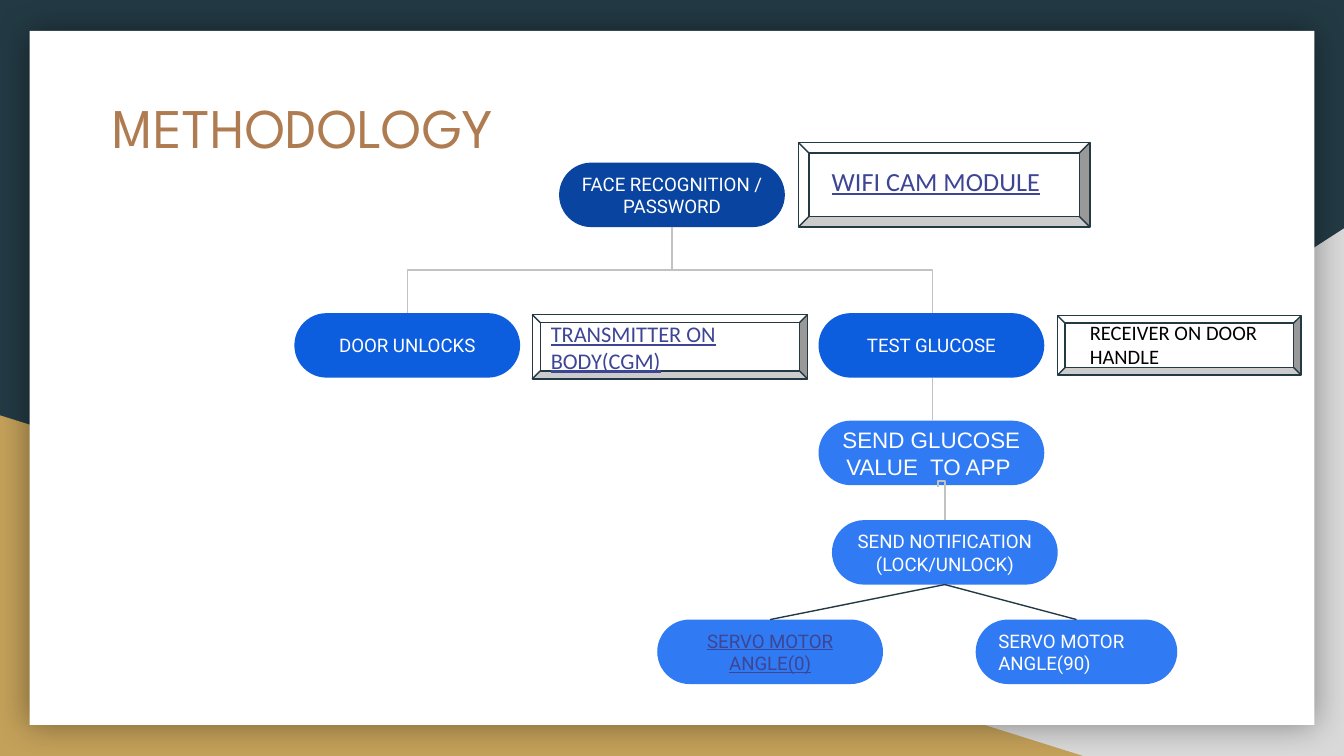
from lxml import etree
from pptx import Presentation
from pptx.dml.color import RGBColor
from pptx.enum.shapes import MSO_CONNECTOR, MSO_SHAPE
from pptx.enum.text import MSO_ANCHOR, PP_ALIGN
from pptx.oxml.ns import qn
from pptx.util import Inches, Pt

ROUND, BEVEL = MSO_SHAPE.ROUNDED_RECTANGLE, MSO_SHAPE.BEVEL
RECT, WEDGE = MSO_SHAPE.RECTANGLE, MSO_SHAPE.RIGHT_TRIANGLE
ELBOW, STRAIGHT = MSO_CONNECTOR.ELBOW, MSO_CONNECTOR.STRAIGHT
TOP, MIDDLE = MSO_ANCHOR.TOP, MSO_ANCHOR.MIDDLE
LEFT, CENTER = PP_ALIGN.LEFT, PP_ALIGN.CENTER

COLORS = {
    "dark": "233A44", "gray": "D9D9D9", "gold": "C4A15A", "white": "FFFFFF",
    "title": "AF7B51", "navy": "0944A1", "blue": "0D5DDF", "sky": "307BF3",
    "wire": "C2C2C2", "link": "3D4594", "black": "000000",
}
WIDE, TALL = 1.68, 0.48  # size of a step


def color(name):
    return RGBColor.from_string(COLORS[name])


def box(dims):
    return [Inches(n) for n in dims]


def write(shape, text, font="Roboto", size=10, ink="white", align=CENTER,
          anchor=MIDDLE, line=False):
    frame = shape.text_frame
    frame.word_wrap = True
    frame.vertical_anchor = anchor
    frame.margin_left = frame.margin_right = Inches(0.1)
    frame.margin_top = frame.margin_bottom = Inches(0.1)
    para = frame.paragraphs[0]
    para.alignment = align
    run = para.add_run()
    run.text = text
    run.font.name = font
    run.font.size = Pt(size)
    run.font.underline = line
    run.font.color.rgb = color(ink)


def draw(slide, kind, dims, fill, edge=None):
    shape = slide.shapes.add_shape(kind, *box(dims))
    shape.shadow.inherit = False
    shape.fill.solid()
    shape.fill.fore_color.rgb = color(fill)
    if edge:
        shape.line.color.rgb = color(edge)
        shape.line.width = Pt(0.75)
    else:
        shape.line.fill.background()
    return shape


def backdrop(slide, wide, tall):
    slide.background.fill.solid()
    slide.background.fill.fore_color.rgb = color("dark")
    right = draw(slide, WEDGE, (3.92, 1.7, wide - 3.92, tall - 1.7), "gray")
    right._element.spPr.xfrm.set("flipH", "1")
    draw(slide, WEDGE, (0, 3.09, 8.06, tall - 3.09), "gold")
    card = draw(slide, RECT, (0.22, 0.23, wide - 0.44, tall - 0.46), "white")
    glow = card._element.spPr.find(qn("a:effectLst"))
    shade = etree.SubElement(glow, qn("a:outerShdw"), blurRad=str(Pt(18)),
                             dist="0", algn="ctr", rotWithShape="0")
    tint = etree.SubElement(shade, qn("a:srgbClr"), val=COLORS["black"])
    etree.SubElement(tint, qn("a:alpha"), val="40000")


def head(slide, text, dims):
    title = slide.shapes.title
    title.left, title.top, title.width, title.height = box(dims)
    write(title, text, font="League Spartan", size=30, ink="title", align=LEFT)
    slide.shapes._spTree.append(title._element)  # in front of the backdrop


def step(slide, text, x, y, fill, wide=WIDE, **style):
    shape = draw(slide, ROUND, (x, y, wide, TALL), fill)
    shape.adjustments[0] = 0.5
    write(shape, text, **style)


def join(slide, kind, start, end, ink):
    wire = slide.shapes.add_connector(kind, *box(start + end))
    wire.line.color.rgb = color(ink)
    wire.line.width = Pt(0.75)
    etree.SubElement(wire._element.spPr, qn("a:effectLst"))
    return wire


def elbow(slide, start, end, bend=0.5):
    """Link two points by a line that leaves and arrives vertically."""
    (x1, y1), (x2, y2) = start, end
    wire = join(slide, ELBOW, start, end, "wire")
    # The preset runs sideways, so its box is turned about its centre.
    long, short = y2 - y1, abs(x2 - x1)
    wire.left, wire.top, wire.width, wire.height = box(
        ((x1 + x2 - long) / 2, (y1 + y2 - short) / 2, long, short))
    form = wire._element.spPr.find(qn("a:xfrm"))
    for name in ("flipH", "flipV"):
        form.attrib.pop(name, None)
    if x2 >= x1:
        form.set("flipH", "1")
    form.set("rot", str((270 if x2 >= x1 else 90) * 60000))
    geom = wire._element.spPr.find(qn("a:prstGeom"))
    guides = geom.find(qn("a:avLst"))
    if guides is None:
        guides = etree.SubElement(geom, qn("a:avLst"))
    etree.SubElement(guides, qn("a:gd"), name="adj1",
                     fmla=f"val {round(bend * 100000)}")


def note(slide, text, frame, area, **style):
    draw(slide, BEVEL, frame, "white", "dark")
    label = slide.shapes.add_textbox(*box(area))
    write(label, text, font="Calibri", align=LEFT, anchor=TOP, **style)


def chart(slide, x, y):
    """Draw the flow with its left edge at x and its top at y."""
    row = y + 1.12
    test = x + 3.9
    send = test + 0.1
    zero, ninety = x + 2.7, x + 5.07
    last = row + 2.28

    step(slide, "FACE RECOGNITION / PASSWORD", x + 1.97, y, "navy")
    step(slide, "TEST GLUCOSE", test, row, "blue")
    step(slide, "DOOR UNLOCKS", x, row, "blue")
    step(slide, "SERVO MOTOR ANGLE(0)", zero, last, "sky",
         ink="link", line=True)
    step(slide, "SEND NOTIFICATION (LOCK/UNLOCK)", send, row + 1.54, "sky")
    step(slide, "SEND GLUCOSE VALUE  TO APP ", test, row + 0.8, "sky",
         font="Arial", size=12)

    root = (x + 2.81, y + TALL)
    mid = test + WIDE / 2 + 0.01
    fork = send + WIDE / 2
    elbow(slide, root, (mid, row))
    elbow(slide, root, (x + WIDE / 2, row))
    elbow(slide, (mid, row + TALL), (mid, row + 0.8))
    elbow(slide, (fork - 0.05, row + 1.29), (fork, row + 1.54), bend=-0.16)

    step(slide, "SERVO MOTOR ANGLE(90)", ninety, last, "sky",
         wide=1.5, align=LEFT)
    for end in (ninety + 0.75, zero + WIDE / 2):
        join(slide, STRAIGHT, (fork, row + 2.02), (end, last), "dark")


def notes(slide):
    note(slide, "WIFI CAM MODULE", (5.94, 1.06, 2.17, 0.63),
         (6.09, 1.13, 2.17, 0.44), size=14, ink="link", line=True)
    note(slide, "TRANSMITTER ON BODY(CGM)", (3.96, 2.34, 2.05, 0.48),
         (4, 2.28, 1.97, 0.61), size=12, ink="link", line=True)
    note(slide, "RECEIVER ON DOOR HANDLE", (7.87, 2.35, 1.81, 0.44),
         (8.01, 2.28, 1.81, 0.57), size=11, ink="black")


def main():
    deck = Presentation()
    wide = 10
    tall = wide * 9 / 16
    deck.slide_width, deck.slide_height = box((wide, tall))
    slide = deck.slides.add_slide(deck.slide_layouts[5])
    backdrop(slide, wide, tall)
    head(slide, "METHODOLOGY", (0.74, 0, 4.42, 1.87))
    chart(slide, 2.19, 1.21)
    notes(slide)
    deck.save("out.pptx")


if __name__ == "__main__":
    main()
